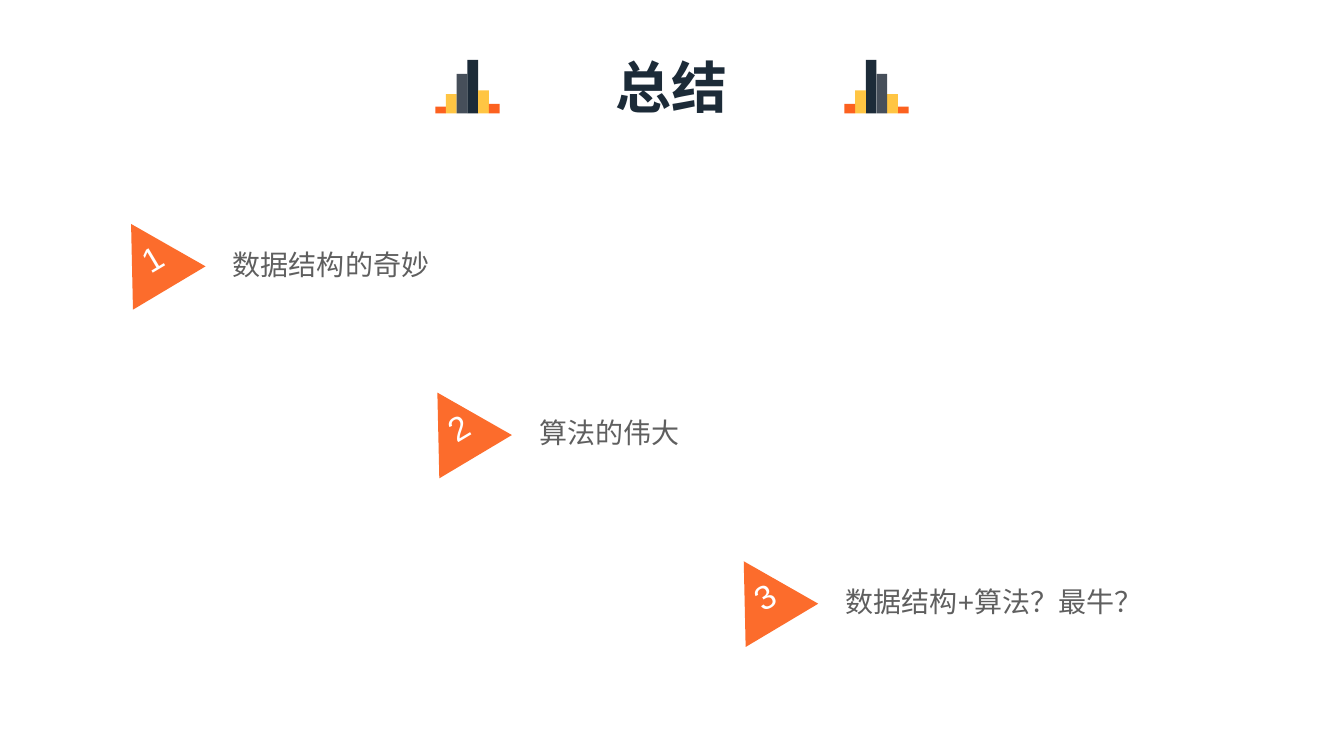
from dataclasses import dataclass

from pptx import Presentation
from pptx.dml.color import RGBColor
from pptx.enum.shapes import MSO_SHAPE
from pptx.enum.text import MSO_ANCHOR, PP_ALIGN
from pptx.shapes.base import BaseShape
from pptx.slide import Slide
from pptx.text.text import TextFrame
from pptx.util import Cm, Pt

COLORS = {
    "navy": "1C2B38",
    "slate": "464F5A",
    "yellow": "FFC543",
    "orange": "FC611F",
    "marker": "FC6C2C",
    "body": "5F5F5F",
    "white": "FFFFFF",
}
FONT = "Arial"
SLIDE_WIDTH, SLIDE_HEIGHT = 33.87, 19.05  # all lengths in cm

BAR_WIDTH = 0.27
SKYLINE_LEFT, SKYLINE_BOTTOM = 10.97, 2.86

MARKER_WIDTH, MARKER_HEIGHT, MARKER_ROTATION = 2.13, 1.88, 329.2
FIRST_LEFT, FIRST_TOP = 2.72, 5.51
STEP_X, STEP_Y = 7.72, 4.25
LABEL_DX, LABEL_DY = 3.15, 0.06


@dataclass(frozen=True)
class Bar:
    height: float
    color: str


SKYLINE = (
    Bar(0.17, "orange"),
    Bar(0.49, "yellow"),
    Bar(1.0, "slate"),
    Bar(1.35, "navy"),
    Bar(0.58, "yellow"),
    Bar(0.24, "orange"),
)
CONCLUSIONS = ("数据结构的奇妙", "算法的伟大", "数据结构+算法？最牛？")


def rgb(color: str) -> RGBColor:
    return RGBColor.from_string(COLORS[color])


def paint(shape: BaseShape, color: str) -> None:
    shape.shadow.inherit = False
    shape.fill.solid()
    shape.fill.fore_color.rgb = rgb(color)
    shape.line.fill.background()


def write(frame: TextFrame, text: str, size: int, color: str,
          align: PP_ALIGN, bold: bool = False) -> None:
    frame.word_wrap = True
    frame.vertical_anchor = MSO_ANCHOR.MIDDLE
    frame.text = text
    paragraph = frame.paragraphs[0]
    paragraph.alignment = align
    font = paragraph.runs[0].font
    font.name, font.size, font.bold = FONT, Pt(size), bold
    font.color.rgb = rgb(color)


def set_margins(frame: TextFrame, top: float = 0) -> None:
    frame.margin_left = frame.margin_right = frame.margin_bottom = 0
    frame.margin_top = Cm(top)


def draw_skyline(slide: Slide, mirrored: bool) -> None:
    skyline = slide.shapes.add_group_shape()
    for index, bar in enumerate(SKYLINE):
        left = SKYLINE_LEFT + index * BAR_WIDTH
        if mirrored:
            left = SLIDE_WIDTH - left - BAR_WIDTH
        building = skyline.shapes.add_shape(
            MSO_SHAPE.RECTANGLE, Cm(left), Cm(SKYLINE_BOTTOM - bar.height),
            Cm(BAR_WIDTH), Cm(bar.height))
        paint(building, bar.color)


def draw_conclusion(slide: Slide, index: int, text: str) -> None:
    left, top = FIRST_LEFT + index * STEP_X, FIRST_TOP + index * STEP_Y
    conclusion = slide.shapes.add_group_shape()

    label = conclusion.shapes.add_textbox(
        Cm(left + LABEL_DX), Cm(top + LABEL_DY), Cm(9.86), Cm(2.16))
    set_margins(label.text_frame)
    write(label.text_frame, text, 20, "body", PP_ALIGN.LEFT)

    # Triangle with its number, tilted together
    bottom = Cm(top + MARKER_HEIGHT)
    outline = conclusion.shapes.build_freeform(
        Cm(left + MARKER_WIDTH / 2), Cm(top))
    outline.add_line_segments(
        [(Cm(left + MARKER_WIDTH), bottom), (Cm(left), bottom)], close=True)
    marker = outline.convert_to_shape()
    marker.rotation = MARKER_ROTATION
    paint(marker, "marker")
    set_margins(marker.text_frame, top=0.15)
    write(marker.text_frame, str(index + 1), 24, "white", PP_ALIGN.CENTER)


def main() -> None:
    deck = Presentation()
    deck.slide_width, deck.slide_height = Cm(SLIDE_WIDTH), Cm(SLIDE_HEIGHT)
    slide = deck.slides.add_slide(deck.slide_layouts[6])

    # Heading between two mirrored skylines
    heading = slide.shapes.add_textbox(Cm(12.6), Cm(0.81), Cm(8.66), Cm(2.74))
    write(heading.text_frame, "总结", 40, "navy", PP_ALIGN.CENTER, bold=True)
    for mirrored in (False, True):
        draw_skyline(slide, mirrored)

    # Conclusions stepping down to the right
    for index, text in enumerate(CONCLUSIONS):
        draw_conclusion(slide, index, text)

    deck.save("out.pptx")


if __name__ == "__main__":
    main()
